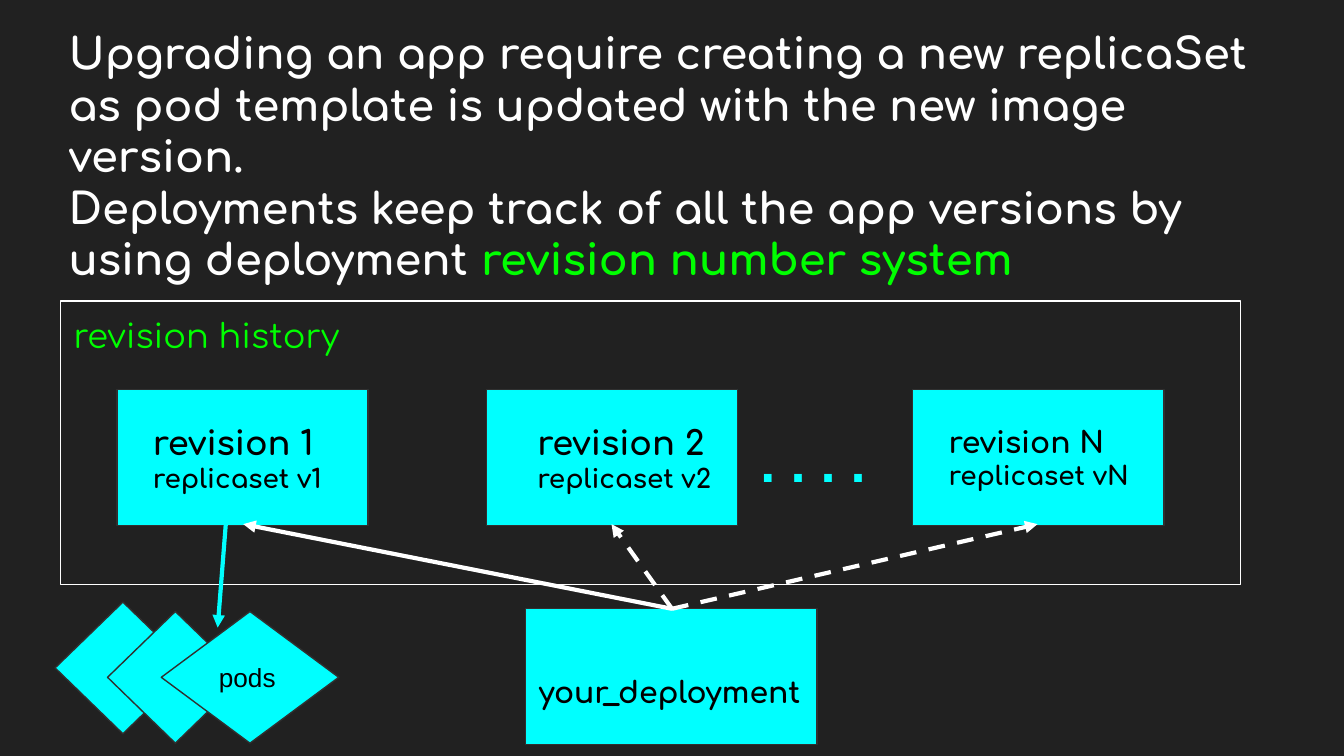
import pptx
import pptx.dml.color
import pptx.enum.dml
import pptx.enum.shapes
import pptx.enum.text
import pptx.oxml
import pptx.oxml.ns
import pptx.util

# Grid of square cells: 100 columns by 56.25 rows
COLUMNS, ROWS = 100, 56.25
CELL = pptx.util.Inches(0.1)
DARK, WHITE, BLACK = "212121", "FFFFFF", "000000"
CYAN, GREEN, EDGE = "00FFFF", "00FF00", "303030"
FONT, PLAIN_FONT = "Comfortaa", "Arial"
TOP = pptx.enum.text.MSO_ANCHOR.TOP
MIDDLE = pptx.enum.text.MSO_ANCHOR.MIDDLE
SHAPES = pptx.enum.shapes.MSO_SHAPE


def cells(*counts):
    return [int(count * CELL) for count in counts]


def color(hex_string):
    return pptx.dml.color.RGBColor.from_string(hex_string)


def style(font, size, hex_string, bold=False, name=FONT):
    font.size = pptx.util.Pt(size)
    font.name = name
    font.bold = bold
    font.color.rgb = color(hex_string)


def set_frame(frame, anchor, top=1):
    frame.word_wrap = True
    frame.auto_size = pptx.enum.text.MSO_AUTO_SIZE.NONE
    frame.vertical_anchor = anchor
    frame.margin_left = frame.margin_right = frame.margin_bottom = CELL
    frame.margin_top = int(top * CELL)


def add_line(frame, index, text, size, hex_string, bold=False, name=FONT, indent=0):
    paragraph = frame.paragraphs[0] if index == 0 else frame.add_paragraph()
    paragraph.text = text
    paragraph.alignment = pptx.enum.text.PP_ALIGN.LEFT
    if indent:
        properties = paragraph._p.get_or_add_pPr()
        properties.set("marL", str(int(indent * CELL)))
        properties.set("indent", "0")
    style(paragraph.font, size, hex_string, bold, name)
    return paragraph


def add_box(slide, kind, place, fill=CYAN, line=EDGE):
    box = slide.shapes.add_shape(kind, *cells(*place))
    box.shadow.inherit = False
    if fill:
        box.fill.solid()
        box.fill.fore_color.rgb = color(fill)
    else:
        box.fill.background()
    box.line.color.rgb = color(line)
    box.line.width = pptx.util.Pt(0.75)
    return box


def add_arrow(slide, start, end, hex_string=WHITE, dashed=False):
    arrow = slide.shapes.add_connector(
        pptx.enum.shapes.MSO_CONNECTOR.STRAIGHT, *cells(*start, *end))
    arrow.line.color.rgb = color(hex_string)
    arrow.line.width = pptx.util.Pt(2.25)
    if dashed:
        arrow.line.dash_style = pptx.enum.dml.MSO_LINE.DASH
    properties = arrow._element.spPr
    head = pptx.oxml.parse_xml(
        f'<a:tailEnd {pptx.oxml.ns.nsdecls("a")} type="triangle"/>')
    properties.find(pptx.oxml.ns.qn("a:ln")).append(head)
    properties.append(pptx.oxml.parse_xml(
        f'<a:effectLst {pptx.oxml.ns.nsdecls("a")}/>'))


def add_title(slide):
    title = slide.shapes.title
    title.left, title.top, title.width, title.height = cells(4.1, 1, 94.2, 15)
    frame = title.text_frame
    set_frame(frame, TOP)
    add_line(frame, 0, "Upgrading an app require creating a new replicaSet as pod "
             "template is updated with the new image version.", 23, WHITE, True)
    tracking = add_line(frame, 1, "Deployments keep track of all the app versions "
                        "by using deployment ", 23, WHITE, True)
    highlight = tracking.add_run()
    highlight.text = "revision number system"
    highlight.font.color.rgb = color(GREEN)


def add_revision(slide, left, number, size, indent):
    revision = add_box(slide, SHAPES.RECTANGLE, (left, 29, 18.7, 10.1))
    frame = revision.text_frame
    set_frame(frame, MIDDLE)
    add_line(frame, 0, f"revision {number}", size, BLACK, True, indent=indent)
    add_line(frame, 1, f"replicaset v{number}", 14, BLACK, True, indent=indent)


def main():
    deck = pptx.Presentation()
    deck.slide_width, deck.slide_height = cells(COLUMNS, ROWS)
    slide = deck.slides.add_slide(deck.slide_layouts[5])
    slide.background.fill.solid()
    slide.background.fill.fore_color.rgb = color(DARK)
    add_title(slide)

    # Revision history with its revisions
    history = add_box(slide, SHAPES.RECTANGLE, (4.5, 22.4, 87.8, 21.1), None, WHITE)
    set_frame(history.text_frame, TOP)
    add_line(history.text_frame, 0, "revision history", 18, GREEN)
    for left, number, size, indent in (
            (8.7, "1", 18, 1.7), (36.2, "2", 18, 2.8), (67.9, "N", 16, 1.7)):
        add_revision(slide, left, number, size, indent)

    # Deployment, its label sitting below the middle
    deployment = add_box(slide, SHAPES.RECTANGLE, (39.1, 45.3, 21.7, 10.1))
    set_frame(deployment.text_frame, MIDDLE, top=3.2)
    add_line(deployment.text_frame, 0, "your_deployment", 16, BLACK, True)

    # Arrows to the current revision and to the others
    for target, dashed in ((18.1, False), (45.5, True), (77.2, True)):
        add_arrow(slide, (50, 45.3), (target, 39), dashed=dashed)

    # Pods of the first revision
    for place in ((4.1, 44.8, 10.1, 9.8), (8, 45.5, 10.1, 9.8), (12, 45.5, 13.2, 9.8)):
        pod = add_box(slide, SHAPES.DIAMOND, place)
    set_frame(pod.text_frame, MIDDLE)
    add_line(pod.text_frame, 0, "pods", 14, BLACK, name=PLAIN_FONT)

    # Dots for the revisions in between
    dots = slide.shapes.add_textbox(*cells(55.6, 30.9, 10.1, 3))
    set_frame(dots.text_frame, TOP)
    add_line(dots.text_frame, 0, ". . . .", 29, CYAN, True, PLAIN_FONT)

    add_arrow(slide, (16.8, 39), (16.2, 46.7), CYAN)
    deck.save("out.pptx")


if __name__ == "__main__":
    main()
